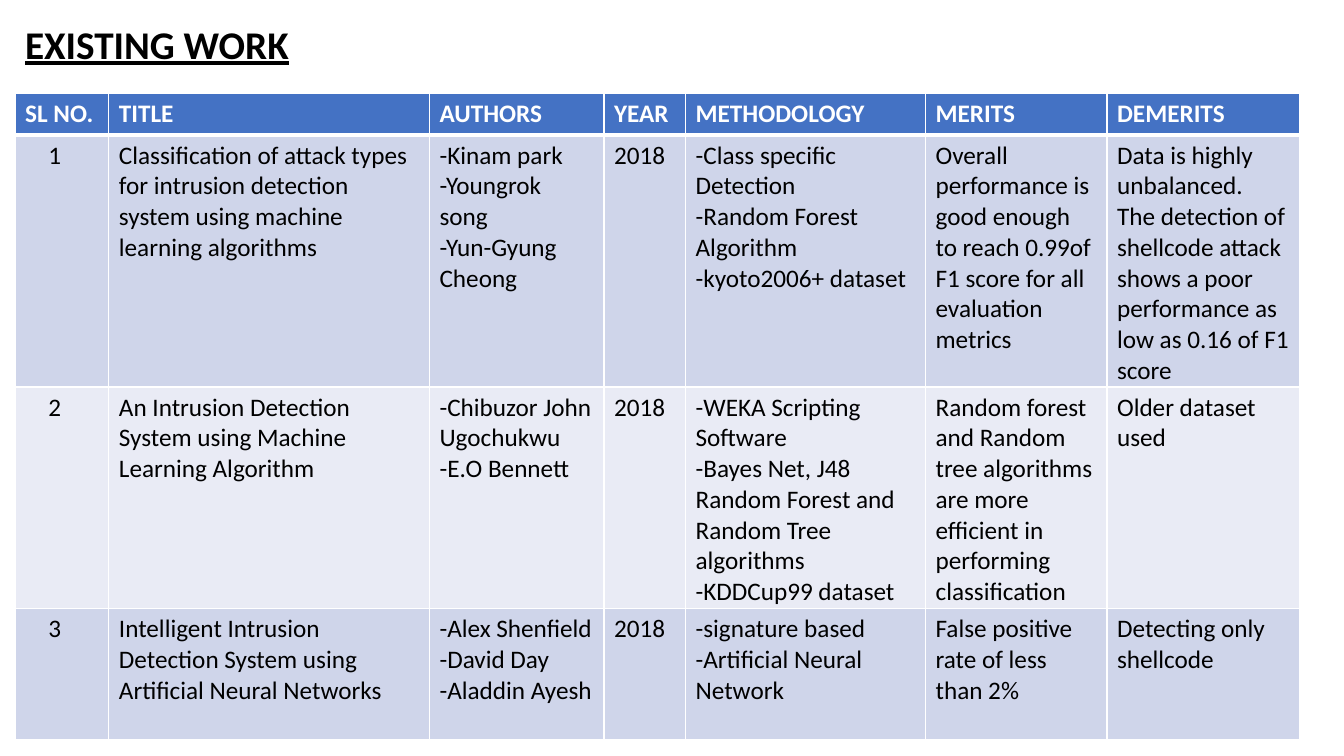
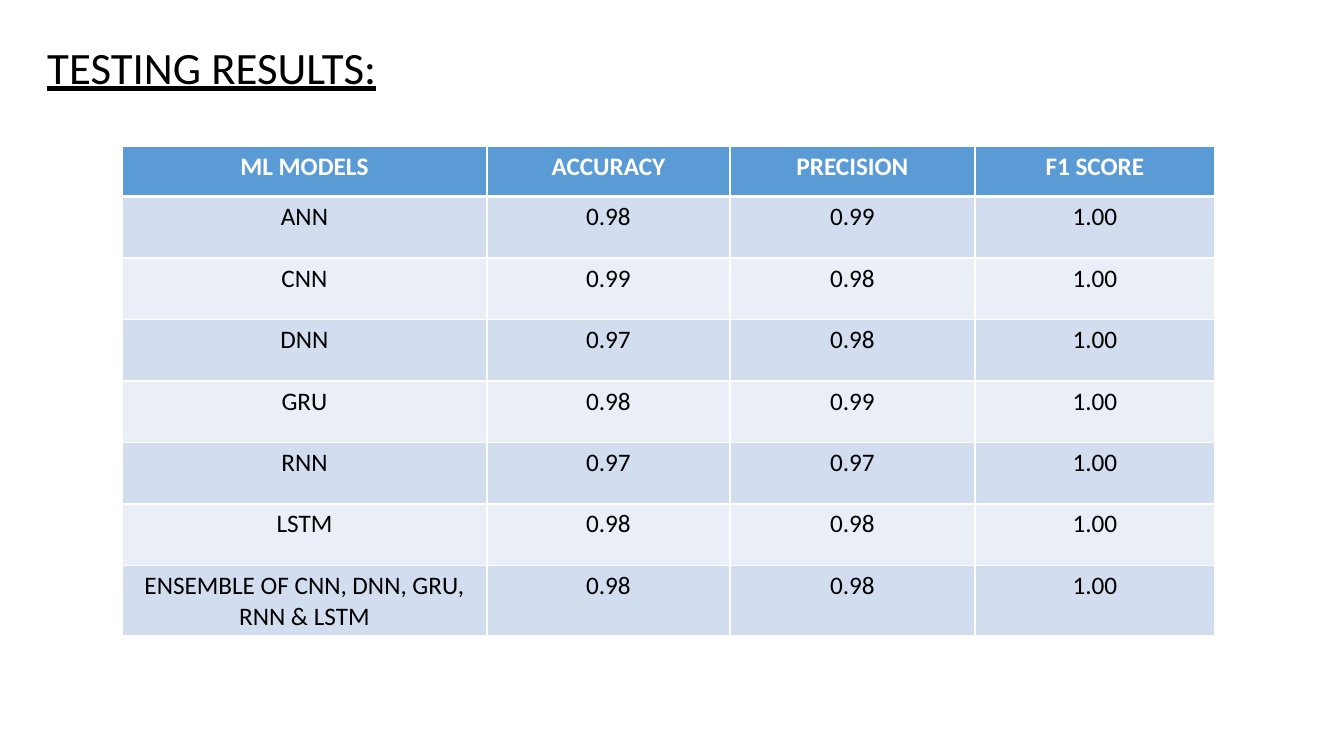
from pptx import Presentation
from pptx.dml.color import RGBColor
from pptx.enum.text import MSO_AUTO_SIZE as AutoSize, PP_ALIGN as Align
from pptx.oxml.ns import qn
from pptx.util import Inches, Pt
from lxml.etree import SubElement

COLORS = {"text": "000000", "white": "FFFFFF"}
BLUE = {"header": "4472C4", "odd": "CFD5EA", "even": "E9EBF5"}
SKY = {"header": "5B9BD5", "odd": "D2DEEF", "even": "EAEFF7"}
FONT = "Calibri"

prs = Presentation()
prs.slide_width = Inches(13.33)
prs.slide_height = Inches(7.5)


def add_title_slide(text, box, size, bold, wrap):
    slide = prs.slides.add_slide(prs.slide_layouts[6])
    frame = slide.shapes.add_textbox(*map(Inches, box)).text_frame
    frame.word_wrap = wrap
    frame.auto_size = AutoSize.SHAPE_TO_FIT_TEXT
    title = frame.paragraphs[0]
    title.text = text
    title.font.name = FONT
    title.font.size = Pt(size)
    title.font.bold = bold
    title.font.underline = True
    title.font.color.rgb = RGBColor.from_string(COLORS["text"])
    return slide


def add_grid(slide, left, top, widths, heights, rows, palette, align):
    grid = slide.shapes.add_table(
        len(rows), len(widths), Inches(left), Inches(top),
        Inches(sum(widths)), Inches(sum(heights))).table
    for column, width in zip(grid.columns, widths):
        column.width = Inches(width)
    for r, (values, height) in enumerate(zip(rows, heights)):
        grid.rows[r].height = Inches(height)
        band = "header" if r == 0 else "odd" if r % 2 else "even"
        for c, value in enumerate(values):
            cell = grid.cell(r, c)
            cell.text = value
            borders = {"lnL": 1, "lnR": 1, "lnT": 3 if r == 1 else 1, "lnB": 3 if r == 0 else 1}
            for side, weight in borders.items():
                line = SubElement(cell._tc.get_or_add_tcPr(), qn(f"a:{side}"), w=str(Pt(weight)))
                fill = SubElement(line, qn("a:solidFill"))
                SubElement(fill, qn("a:srgbClr"), val=COLORS["white"])
            cell.fill.solid()
            cell.fill.fore_color.rgb = RGBColor.from_string(palette[band])
            for paragraph in cell.text_frame.paragraphs:
                paragraph.alignment = align
                paragraph.font.name = FONT
                paragraph.font.size = Pt(18)
                paragraph.font.bold = r == 0
                paragraph.font.color.rgb = RGBColor.from_string(
                    COLORS["white" if r == 0 else "text"])
    return grid


existing_work = [
    ("SL NO.", "TITLE", "AUTHORS", "YEAR", "METHODOLOGY", "MERITS", "DEMERITS"),
    ("1",
     "Classification of attack types for intrusion detection system using machine learning algorithms",
     "-Kinam park\n-Youngrok song\n-Yun-Gyung Cheong",
     "2018",
     "-Class specific Detection\n-Random Forest Algorithm\n-kyoto2006+ dataset",
     "Overall performance is good enough to reach 0.99of F1 score for all evaluation metrics",
     "Data is highly unbalanced.\n"
     "The detection of shellcode attack shows a poor performance as low as 0.16 of F1 score"),
    ("2",
     "An Intrusion Detection System using Machine Learning Algorithm",
     "-Chibuzor John Ugochukwu\n-E.O Bennett",
     "2018",
     "-WEKA Scripting Software\n"
     "-Bayes Net, J48 Random Forest and Random Tree algorithms\n-KDDCup99 dataset",
     "Random forest and Random tree algorithms are more efficient in performing classification",
     "Older dataset used"),
    ("3",
     "Intelligent Intrusion Detection System using Artificial Neural Networks",
     "-Alex Shenfield\n-David Day\n-Aladdin Ayesh",
     "2018",
     "-signature based\n-Artificial Neural Network",
     "False positive rate of less than 2%",
     "Detecting only shellcode"),
]
work_slide = add_title_slide("EXISTING WORK", (0.15, 0.15, 2.85, 0.57), 28, True, False)
work_grid = add_grid(
    work_slide, 0.15, 0.93, [0.93, 3.18, 1.73, 0.81, 2.38, 1.8, 1.91],
    [0.41, 2.5, 2.2, 1.3], existing_work, BLUE, Align.LEFT)
for r in range(1, len(existing_work)):
    work_grid.cell(r, 0).margin_left = Inches(0.33)

testing_results = [
    ("ML MODELS", "ACCURACY", "PRECISION", "F1 SCORE"),
    ("ANN", "0.98", "0.99", "1.00"),
    ("CNN", "0.99", "0.98", "1.00"),
    ("DNN", "0.97", "0.98", "1.00"),
    ("GRU", "0.98", "0.99", "1.00"),
    ("RNN", "0.97", "0.97", "1.00"),
    ("LSTM", "0.98", "0.98", "1.00"),
    ("ENSEMBLE OF CNN, DNN, GRU, RNN & LSTM", "0.98", "0.98", "1.00"),
]
results_slide = add_title_slide("TESTING RESULTS:", (0.37, 0.34, 12.52, 1.11), 32, False, True)
add_grid(results_slide, 1.21, 1.45, [3.62, 2.41, 2.43, 2.38],
         [0.5] + [0.61] * 6 + [0.7], testing_results, SKY, Align.CENTER)

prs.save("out.pptx")
